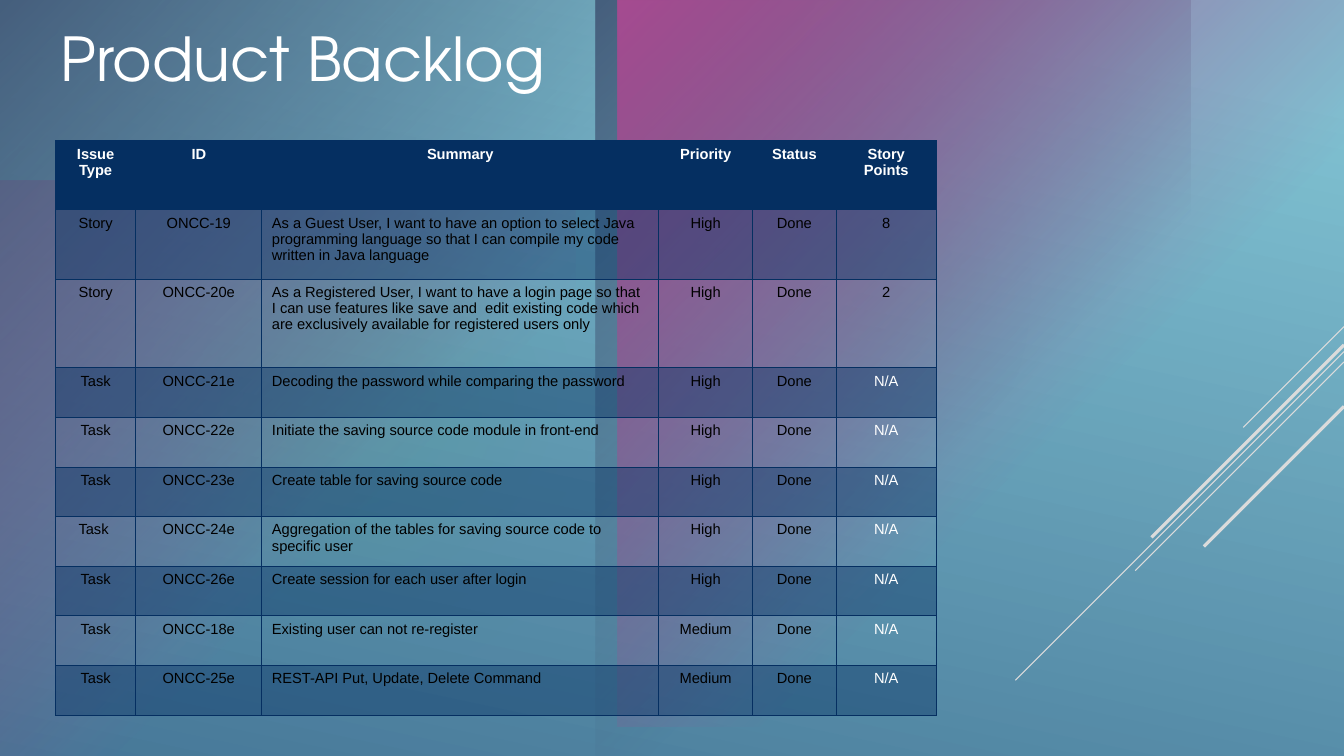
from typing import NamedTuple, Optional

from lxml import etree
from pptx import Presentation
from pptx.dml.color import RGBColor
from pptx.enum.shapes import MSO_CONNECTOR, MSO_SHAPE
from pptx.enum.text import MSO_ANCHOR, PP_ALIGN
from pptx.oxml.ns import qn
from pptx.util import Cm, Pt

RECT = MSO_SHAPE.RECTANGLE
OVAL = MSO_SHAPE.OVAL
STRAIGHT = MSO_CONNECTOR.STRAIGHT
LEFT, CENTER = PP_ALIGN.LEFT, PP_ALIGN.CENTER
MIDDLE = MSO_ANCHOR.MIDDLE

NAVY = RGBColor(0x05, 0x2F, 0x61)
MAGENTA = RGBColor(0xA5, 0x0E, 0x82)
GREEN = RGBColor(0x14, 0x96, 0x7C)
GREY = RGBColor(0xA7, 0xA7, 0xA7)
SKY = RGBColor(0x66, 0xD3, 0xEE)
OCEAN = RGBColor(0x06, 0x58, 0x8E)
WHITE = RGBColor(0xFF, 0xFF, 0xFF)
BLACK = RGBColor(0x00, 0x00, 0x00)

SLIDE_W, SLIDE_H = 33.87, 19.05
SOFT_EDGE = Cm(3.5)
TABLE_LEFT, TABLE_TOP = 1.4, 3.55
COL_WIDTHS = [2.02, 3.18, 10.0, 2.37, 2.1, 2.53]
ROW_HEIGHTS = [1.74, 1.74, 2.24] + [1.25] * 7
SUMMARY_COL, POINTS_COL = 2, 5
HEADER = ("Issue Type", "ID", "Summary", "Priority", "Status", "Story Points")


class Stop(NamedTuple):
    pos: int
    color: RGBColor
    alpha: int = 100


class Panel(NamedTuple):
    kind: MSO_SHAPE
    left: float
    top: float
    width: float
    height: float
    color: RGBColor
    alpha: int
    fades: bool = False


class Streak(NamedTuple):
    top: float
    reach: float
    weight: float


class Issue(NamedTuple):
    kind: str
    key: str
    summary: str
    priority: str = "High"
    status: str = "Done"
    points: str = "N/A"


STREAKS = [
    Streak(8.23, 2.54, 0.75),
    Streak(8.86, 8.28, 0.75),
    Streak(9.12, 5.26, 0.75),
    Streak(8.69, 4.85, 2.25),
    Streak(10.24, 3.53, 2.25),
]
PANELS = [
    Panel(RECT, 0, 4.56, 14.5, 14.5, MAGENTA, 60, True),
    Panel(OVAL, 15.98, 1.09, 11.99, 11.99, GREEN, 60),
    Panel(OVAL, 0, 1.42, 17.63, 17.63, GREEN, 20),
    Panel(RECT, 0, 0, 15, SLIDE_H, NAVY, 100, True),
    Panel(RECT, 15, 0, 15, SLIDE_H, NAVY, 100, True),
    Panel(RECT, 15.56, 0, 18.31, 18.31, MAGENTA, 100, True),
    Panel(RECT, 0, 0, SLIDE_W, SLIDE_H, GREY, 40),
]
ISSUES = [
    Issue("Story", "ONCC-19", "As a Guest User, I want to have an option to select Java programming "
          "language so that I can compile my code written in Java language", points="8"),
    Issue("Story", "ONCC-20e", "As a Registered User, I want to have a login page so that I can use "
          "features like save and  edit existing code which are exclusively available for "
          "registered users only", points="2"),
    Issue("Task", "ONCC-21e", "Decoding the password while comparing the password"),
    Issue("Task", "ONCC-22e", "Initiate the saving source code module in front-end"),
    Issue("Task", "ONCC-23e", "Create table for saving source code"),
    Issue("Task ", "ONCC-24e", "Aggregation of the tables for saving source code to specific user"),
    Issue("Task", "ONCC-26e", "Create session for each user after login"),
    Issue("Task", "ONCC-18e", "Existing user can not re-register", "Medium"),
    Issue("Task", "ONCC-25e", "REST-API Put, Update, Delete Command", "Medium"),
]


def add_color(parent, color: RGBColor, alpha: int = 100) -> None:
    clr = etree.SubElement(parent, qn("a:srgbClr"), val=str(color))
    if alpha < 100:
        etree.SubElement(clr, qn("a:alpha"), val=str(alpha * 1000))


def set_gradient(fill, owner, stops: list[Stop], angle: Optional[int] = None) -> None:
    fill.gradient()
    grad = next(owner.iter(qn("a:gradFill")))
    for child in list(grad):
        grad.remove(child)
    gs_lst = etree.SubElement(grad, qn("a:gsLst"))
    for stop in stops:
        gs = etree.SubElement(gs_lst, qn("a:gs"), pos=str(stop.pos * 1000))
        add_color(gs, stop.color, stop.alpha)
    if angle is None:
        circle = etree.SubElement(grad, qn("a:path"), path="circle")
        etree.SubElement(circle, qn("a:fillToRect"), r="100000", b="100000")
    else:
        etree.SubElement(grad, qn("a:lin"), ang=str(angle * 60000), scaled="0")


def set_solid(fill, owner, color: RGBColor, alpha: int) -> None:
    fill.solid()
    fill.fore_color.rgb = color
    solid = owner.find(qn("a:solidFill"))
    solid.clear()
    add_color(solid, color, alpha)


def add_streak(slide, streak: Streak) -> None:
    sp = slide.shapes.add_connector(STRAIGHT, Cm(SLIDE_W), Cm(streak.top),
                                    Cm(SLIDE_W - streak.reach), Cm(streak.top + streak.reach))
    sp.line.color.rgb = WHITE
    sp.line.width = Pt(streak.weight)
    etree.SubElement(sp._element.spPr, qn("a:effectLst"))


def add_panel(slide, panel: Panel) -> None:
    sp = slide.shapes.add_shape(panel.kind, Cm(panel.left), Cm(panel.top),
                                Cm(panel.width), Cm(panel.height))
    sp.shadow.inherit = False
    sp.line.fill.background()
    sp_pr = sp._element.spPr
    if panel.fades:
        set_gradient(sp.fill, sp_pr, [Stop(0, panel.color, panel.alpha), Stop(60, panel.color, 0)])
    else:
        set_solid(sp.fill, sp_pr, panel.color, panel.alpha)
    if panel.kind == OVAL:
        etree.SubElement(sp_pr.find(qn("a:effectLst")), qn("a:softEdge"), rad=str(int(SOFT_EDGE)))


def write(p, text: str, align: PP_ALIGN, **font) -> None:
    p.alignment = align
    r = p.add_run()
    r.text = text
    r.font.color.rgb = font.pop("color")
    for name, value in font.items():
        setattr(r.font, name, value)


def set_borders(tc_pr) -> None:
    for i, side in enumerate("LRTB"):
        ln = etree.Element(qn(f"a:ln{side}"), w=str(int(Pt(0.75))))
        add_color(etree.SubElement(ln, qn("a:solidFill")), NAVY)
        tc_pr.insert(i, ln)


def add_backlog(slide) -> None:
    rows = [HEADER, *ISSUES]
    table = slide.shapes.add_table(len(rows), len(HEADER), Cm(TABLE_LEFT), Cm(TABLE_TOP),
                                   Cm(sum(COL_WIDTHS)), Cm(sum(ROW_HEIGHTS))).table
    table.horz_banding = False
    for col, width in zip(table.columns, COL_WIDTHS):
        col.width = Cm(width)
    for i, (row, height, values) in enumerate(zip(table.rows, ROW_HEIGHTS, rows)):
        row.height = Cm(height)
        for j, (cell, text) in enumerate(zip(row.cells, values)):
            is_header = i == 0
            tc_pr = cell._tc.get_or_add_tcPr()
            if is_header or i % 2:
                set_solid(cell.fill, tc_pr, NAVY, 100 if is_header else 40)
            else:
                cell.fill.background()
            set_borders(tc_pr)
            is_white = is_header or (j == POINTS_COL and text == "N/A")
            align = LEFT if j == SUMMARY_COL and not is_header else CENTER
            write(cell.text_frame.paragraphs[0], text, align, name="Arial", size=Pt(10.5),
                  bold=is_header, color=WHITE if is_white else BLACK)


def add_title(slide) -> None:
    tf = slide.shapes.add_textbox(Cm(1.4), Cm(0.2), Cm(30.84), Cm(2.51)).text_frame
    margins = dict.fromkeys(("margin_left", "margin_top", "margin_right", "margin_bottom"), Cm(0.13))
    for name, value in {"word_wrap": True, "vertical_anchor": MIDDLE, **margins}.items():
        setattr(tf, name, value)
    write(tf.paragraphs[0], "Product Backlog", LEFT, name="TeX Gyre Adventor",
          size=Pt(43.2), color=WHITE)


def main() -> None:
    prs = Presentation()
    prs.slide_width, prs.slide_height = Cm(SLIDE_W), Cm(SLIDE_H)
    slide = prs.slides.add_slide(prs.slide_layouts[6])
    set_gradient(slide.background.fill, slide._element,
                 [Stop(0, SKY), Stop(10, SKY), Stop(100, OCEAN)], 102)
    for streak in STREAKS:
        add_streak(slide, streak)
    for panel in PANELS:
        add_panel(slide, panel)
    add_backlog(slide)
    add_title(slide)
    prs.save("out.pptx")


if __name__ == "__main__":
    main()
